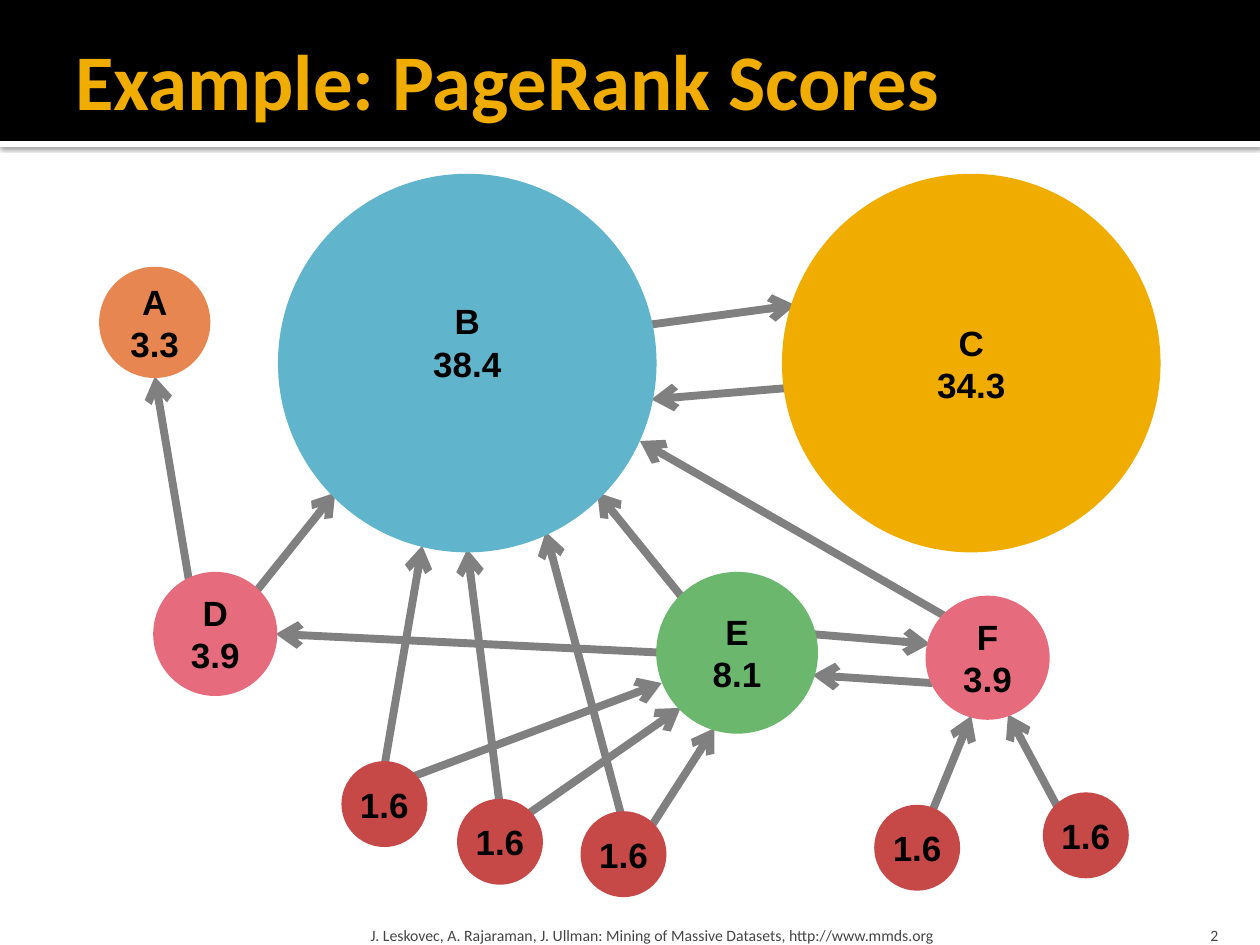
from typing import Any, NamedTuple

from lxml.etree import SubElement
from pptx import Presentation
from pptx.dml.color import RGBColor
from pptx.enum.shapes import MSO_CONNECTOR, MSO_SHAPE
from pptx.enum.text import MSO_ANCHOR, PP_ALIGN
from pptx.oxml.ns import qn
from pptx.util import Cm, Pt

BLACK = RGBColor(0x00, 0x00, 0x00)
WHITE = RGBColor(0xFF, 0xFF, 0xFF)
GREY = RGBColor(0x80, 0x80, 0x80)
DARK = RGBColor(0x45, 0x45, 0x45)
GOLD = RGBColor(0xF0, 0xAD, 0x00)
BLUE = RGBColor(0x60, 0xB5, 0xCC)
GREEN = RGBColor(0x6B, 0xB7, 0x6D)
PINK = RGBColor(0xE6, 0x6C, 0x7D)
PEACH = RGBColor(0xE8, 0x86, 0x51)
RED = RGBColor(0xC6, 0x48, 0x47)

TITLE = {"name": "Calibri", "size": Pt(45), "bold": True}
SCORE = {"name": "Arial", "size": Pt(20), "bold": True}
SMALL = {"name": "Calibri", "size": Pt(9), "bold": False}


class Page(NamedTuple):
    """A circle given by its centre and width, in cm."""
    lines: tuple[str, ...]
    x: float
    y: float
    size: float
    tint: RGBColor
    lift: float = 0


class Link(NamedTuple):
    """An arrow from one point to another, in cm."""
    x1: float
    y1: float
    x2: float
    y2: float


class Label(NamedTuple):
    """A text box with its place and inner margins, in cm."""
    text: str
    box: tuple[float, float, float, float]
    pad: tuple[float, float, float, float]
    font: dict[str, Any]
    tint: RGBColor
    anchor: MSO_ANCHOR
    align: PP_ALIGN


PAGES = [
    Page(("B", "38.4"), 9.42, 7.32, 7.42, BLUE, lift=0.85),
    Page(("C", "34.3"), 19.58, 7.32, 7.42, GOLD),
    Page(("E", "8.1"), 14.86, 13.16, 3.05, GREEN),
    Page(("F", "3.9"), 19.91, 13.26, 2.29, PINK),
    Page(("D", "3.9"), 4.34, 12.78, 2.29, PINK),
    Page(("A", "3.3"), 3.12, 6.5, 2.03, PEACH),
]
# Centres of the minor pages, which all score the same
MINOR = [(7.75, 16.21), (10.08, 16.97), (12.57, 17.22),
         (18.49, 17.09), (21.89, 16.84)]
PAGES += [Page(("1.6",), x, y, 1.52, RED) for x, y in MINOR]

LINKS = [
    Link(13.06, 6.55, 16.03, 6.15),    # B to C
    Link(15.9, 7.82, 13.13, 8.05),     # C to B
    Link(13.79, 12.09, 12.04, 9.93),   # E to B
    Link(5.11, 11.99, 6.76, 9.93),     # D to B
    Link(3.81, 11.71, 3.12, 7.59),     # D to A
    Link(7.75, 15.44, 8.51, 11),       # minor pages to B and E
    Link(8.28, 15.67, 13.34, 13.77),
    Link(13.41, 13.16, 5.56, 12.78),   # E to D
    Link(10.08, 16.28, 9.42, 11.07),
    Link(10.57, 16.46, 13.72, 14.27),
    Link(13.11, 16.69, 14.4, 14.68),
    Link(12.57, 16.61, 11, 10.72),
    Link(18.75, 16.46, 19.58, 14.43),  # minor pages to F
    Link(21.34, 16.31, 20.32, 14.4),
    Link(19.1, 12.45, 12.9, 8.89),     # F to B
    Link(18.8, 13.77, 16.38, 13.61),   # F to E
    Link(16.33, 12.78, 18.75, 12.98),  # E to F
]

LABELS = [
    Label("Example: PageRank Scores", (1.27, 0.43, 22.86, 2.34),
          (0.25, 0.13, 0.13, 0.13), TITLE, GOLD, MSO_ANCHOR.MIDDLE, PP_ALIGN.LEFT),
    Label("2", (22.78, 18.29, 2.03, 0.76),
          (0.25, 0.13, 0.25, 0), SMALL, DARK, MSO_ANCHOR.BOTTOM, PP_ALIGN.RIGHT),
    Label("J. Leskovec, A. Rajaraman, J. Ullman: Mining of Massive Datasets, "
          "http://www.mmds.org", (7.34, 18.29, 15.29, 0.76),
          (0.13, 0.13, 0.13, 0), SMALL, DARK, MSO_ANCHOR.BOTTOM, PP_ALIGN.LEFT),
]


def set_all(item: Any, form: dict[str, Any]) -> None:
    for key, value in form.items():
        setattr(item, key, value)


def write(shape: Any, lines: tuple[str, ...], pad: tuple[float, ...],
          font: dict[str, Any], tint: RGBColor, anchor: MSO_ANCHOR,
          align: PP_ALIGN, wrap: bool) -> None:
    frame = shape.text_frame
    left, top, right, base = map(Cm, pad)
    set_all(frame, {"margin_left": left, "margin_top": top,
                    "margin_right": right, "margin_bottom": base,
                    "vertical_anchor": anchor, "word_wrap": wrap})
    for i, line in enumerate(lines):
        para = frame.add_paragraph() if i else frame.paragraphs[0]
        para.alignment = align
        run = para.add_run()
        run.text = line
        set_all(run.font, font)
        run.font.color.rgb = tint


def draw_band(slide: Any, top: float, high: float, tint: RGBColor) -> Any:
    band = slide.shapes.add_shape(MSO_SHAPE.RECTANGLE, 0, Cm(top), Cm(25.4), Cm(high))
    band.shadow.inherit = False
    band.fill.solid()
    band.fill.fore_color.rgb = tint
    band.line.fill.background()
    return band


def add_shade(band: Any) -> None:
    effect = band._element.spPr.find(qn("a:effectLst"))
    shade = SubElement(effect, qn("a:outerShdw"), blurRad=str(Pt(2.5)),
                       dist=str(Pt(0.8)), dir="5400000", algn="t", rotWithShape="0")
    tone = SubElement(shade, qn("a:srgbClr"), val=str(BLACK))
    SubElement(tone, qn("a:alpha"), val="60000")


def draw_link(slide: Any, link: Link) -> None:
    line = slide.shapes.add_connector(MSO_CONNECTOR.STRAIGHT, *map(Cm, link))
    line.line.color.rgb = GREY
    line.line.width = Pt(4.5)
    SubElement(line.line._get_or_add_ln(), qn("a:tailEnd"), type="arrow")
    SubElement(line._element.spPr, qn("a:effectLst"))


def draw_page(slide: Any, page: Page) -> None:
    half = page.size / 2
    disc = slide.shapes.add_shape(MSO_SHAPE.OVAL, Cm(page.x - half), Cm(page.y - half),
                                  Cm(page.size), Cm(page.size))
    disc.shadow.inherit = False
    disc.fill.solid()
    disc.fill.fore_color.rgb = page.tint
    disc.line.color.rgb = page.tint
    disc.line.width = Pt(6)
    write(disc, page.lines, (0, 0, 0, page.lift), SCORE, BLACK,
          MSO_ANCHOR.MIDDLE, PP_ALIGN.CENTER, False)


def draw_label(slide: Any, label: Label) -> None:
    box = slide.shapes.add_textbox(*map(Cm, label.box))
    write(box, (label.text,), label.pad, label.font, label.tint,
          label.anchor, label.align, True)


def main() -> None:
    deck = Presentation()
    deck.slide_width, deck.slide_height = Cm(25.4), Cm(19.05)
    slide = deck.slides.add_slide(deck.slide_layouts[6])

    # Header: white strip with a shadow, then the black band
    add_shade(draw_band(slide, 2.84, 0.13, WHITE))
    draw_band(slide, 0, 2.84, BLACK)

    # Graph: links lie behind the pages
    for link in LINKS:
        draw_link(slide, link)
    for page in PAGES:
        draw_page(slide, page)

    # Title and footer
    for label in LABELS:
        draw_label(slide, label)

    deck.save("out.pptx")


if __name__ == "__main__":
    main()
